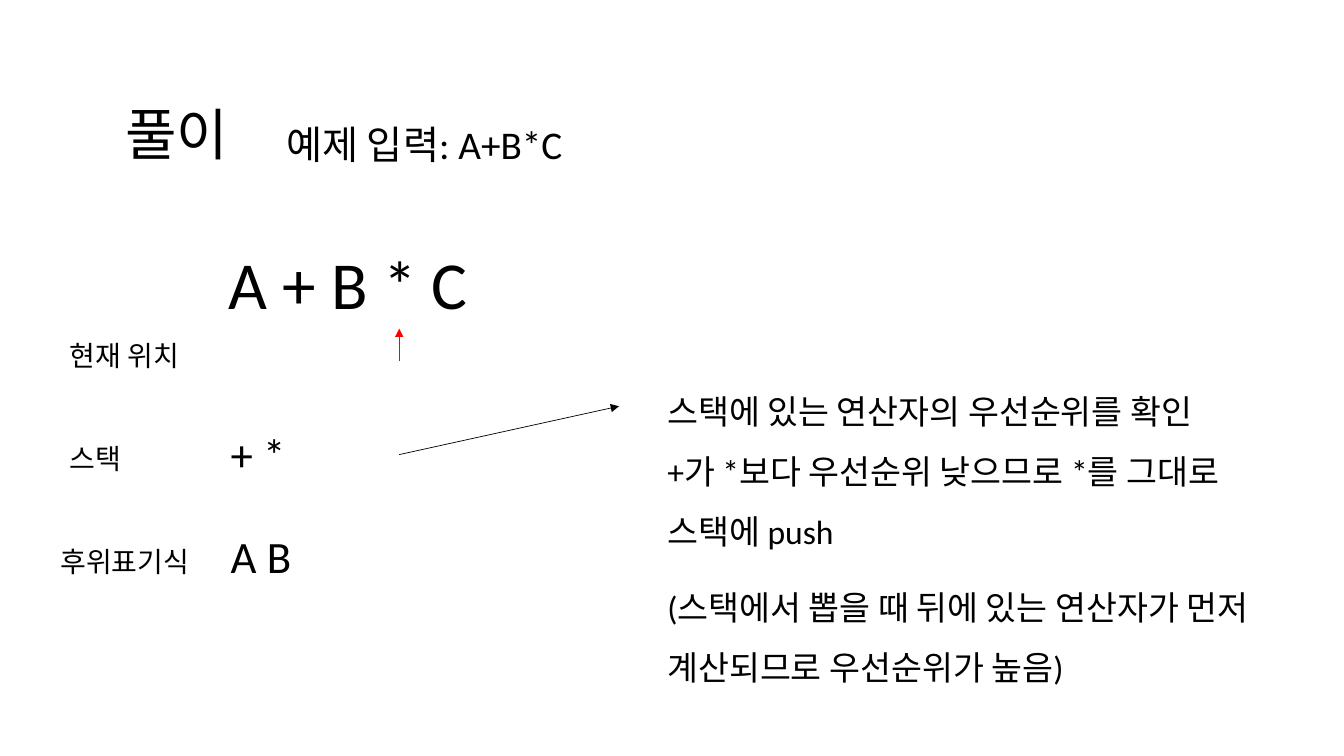
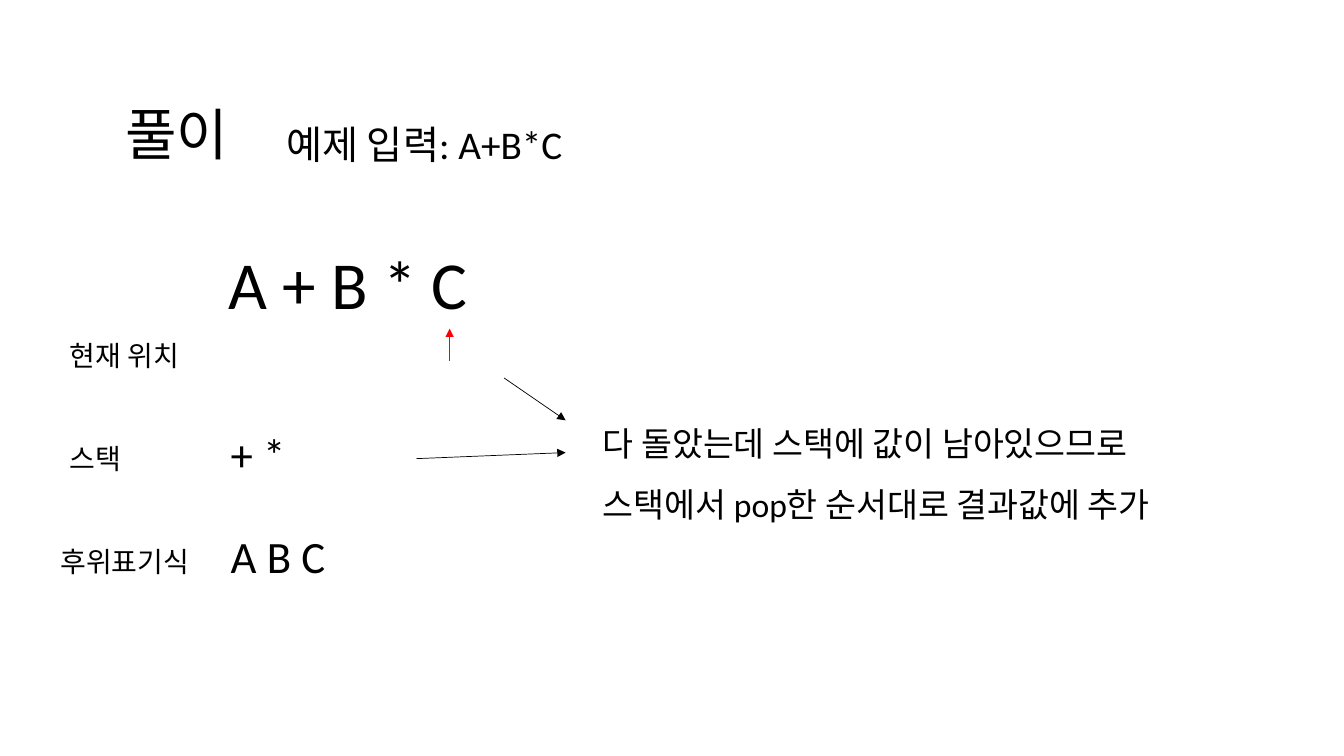
from dataclasses import dataclass

from pptx import Presentation
from pptx.dml.color import RGBColor
from pptx.enum.shapes import MSO_CONNECTOR
from pptx.enum.text import MSO_ANCHOR, MSO_AUTO_SIZE, PP_ALIGN
from pptx.oxml.ns import qn
from pptx.util import Inches, Pt
from lxml.etree import SubElement


@dataclass(frozen=True)
class Theme:
    font: str = "Calibri"
    ink: RGBColor = RGBColor(0, 0, 0)
    marker: RGBColor = RGBColor(255, 0, 0)
    title: int = 40
    subtitle: int = 28
    expression: int = 48
    label: int = 20
    value: int = 32
    note: int = 24
    line_width: float = 0.5
    note_spacing: float = 1.5


@dataclass(frozen=True)
class Step:
    marker_x: float
    stack: str
    postfix: str
    note_left: float
    notes: tuple
    arrows: tuple


THEME = Theme()
EXPRESSION = "A + B * C"
ROW_PITCH = 1.02
STEPS = (
    Step(
        marker_x=1.79, stack="+ *", postfix="A B", note_left=6.52,
        notes=(
            (3.63, 0.64, "스택에 있는 연산자의 우선순위를 확인"),
            (4.22, 1.25, "+가 *보다 우선순위 낮으므로 *를 그대로 스택에 push"),
            (5.57, 1.25, "(스택에서 뽑을 때 뒤에 있는 연산자가 먼저 계산되므로 우선순위가 높음)"),
        ),
        arrows=(((3.96, 4.51), (6.14, 4.03)),),
    ),
    Step(
        marker_x=2.29, stack="+ *", postfix="A B C", note_left=5.88,
        notes=((3.95, 1.25, "다 돌았는데 스택에 값이 남아있으므로 스택에서 pop한 순서대로 결과값에 추가"),),
        arrows=(((5, 3.75), (5.61, 4.17)), ((4.13, 4.55), (5.61, 4.49))),
    ),
)


def write_text(shape, text, size, spacing=1.0):
    frame = shape.text_frame
    frame.word_wrap = True
    frame.auto_size = MSO_AUTO_SIZE.NONE
    frame.vertical_anchor = MSO_ANCHOR.TOP
    frame.text = text
    paragraph = frame.paragraphs[0]
    paragraph.alignment = PP_ALIGN.LEFT
    paragraph.line_spacing = spacing
    paragraph.font.name = THEME.font
    paragraph.font.size = Pt(size)
    paragraph.font.color.rgb = THEME.ink


def add_text(slide, left, top, width, height, text, size, spacing=1.0):
    box = slide.shapes.add_textbox(Inches(left), Inches(top), Inches(width), Inches(height))
    write_text(box, text, size, spacing)


def add_arrow(slide, start, end, color):
    points = [Inches(value) for value in (*start, *end)]
    connector = slide.shapes.add_connector(MSO_CONNECTOR.STRAIGHT, *points)
    connector.line.color.rgb = color
    connector.line.width = Pt(THEME.line_width)
    SubElement(connector.line._get_or_add_ln(), qn("a:tailEnd"), type="triangle")
    SubElement(connector._element.spPr, qn("a:effectLst"))


def add_heading(slide, left, top):
    title = slide.shapes.title
    title.left, title.top = Inches(left), Inches(top)
    title.width, title.height = Inches(3.53), Inches(0.77)
    write_text(title, "풀이", THEME.title)
    add_text(slide, left + 1.6, top + 0.2, 3.41, 0.57, "예제 입력: A+B*C", THEME.subtitle)


def add_expression(slide, left, top, marker_x):
    add_text(slide, left, top, 3.53, 0.91, EXPRESSION, THEME.expression)
    x = left + marker_x
    add_arrow(slide, (x, top + 1.23), (x, top + 0.91), THEME.marker)


def add_state(slide, left, top, step):
    rows = (
        (0.09, 1.42, "현재 위치", None),
        (0.09, 1.42, "스택", step.stack),
        (0, 1.61, "후위표기식", step.postfix),
    )
    for index, (indent, width, label, value) in enumerate(rows):
        row_top = top + index * ROW_PITCH
        add_text(slide, left + indent, row_top, width, 0.44, label, THEME.label)
        if value:
            add_text(slide, left + 1.69, row_top - 0.15, 1.61, 0.64, value, THEME.value)


def add_explanation(slide, left, step):
    for top, height, text in step.notes:
        add_text(slide, left, top, 6.04, height, text, THEME.note, THEME.note_spacing)
    for start, end in step.arrows:
        add_arrow(slide, start, end, THEME.ink)


def add_step_slide(presentation, step):
    slide = presentation.slides.add_slide(presentation.slide_layouts[5])
    add_heading(slide, 1.14, 0.94)
    add_expression(slide, 2.17, 2.35, step.marker_x)
    add_state(slide, 0.5, 3.31, step)
    add_explanation(slide, step.note_left, step)


def main():
    presentation = Presentation()
    presentation.slide_width = Inches(13.33)
    presentation.slide_height = Inches(7.5)
    for step in STEPS:
        add_step_slide(presentation, step)
    presentation.save("out.pptx")


if __name__ == "__main__":
    main()
